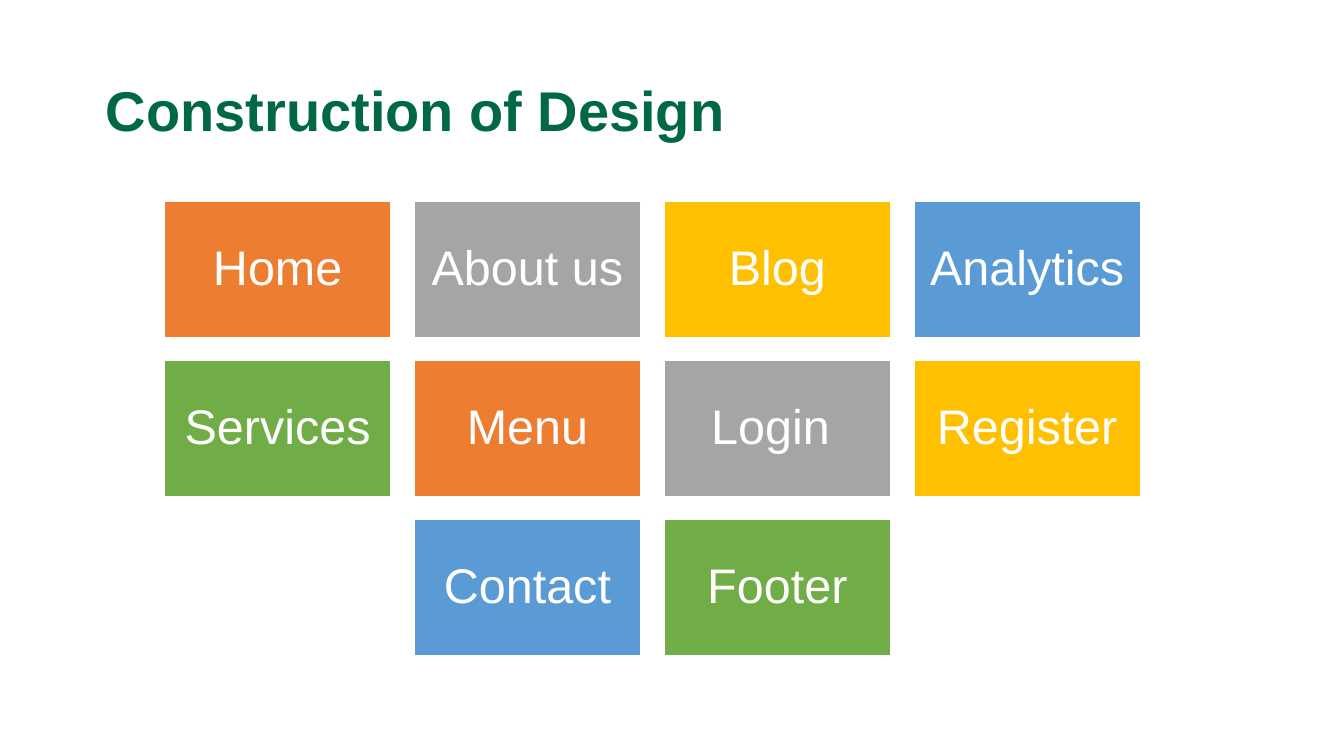
from itertools import cycle

from pptx import Presentation
from pptx.dml.color import RGBColor
from pptx.enum.shapes import MSO_SHAPE
from pptx.enum.text import MSO_ANCHOR, PP_ALIGN
from pptx.util import Inches, Pt

RECTANGLE = MSO_SHAPE.RECTANGLE
MIDDLE = MSO_ANCHOR.MIDDLE
LEFT = PP_ALIGN.LEFT
CENTER = PP_ALIGN.CENTER

FONT = "Arial"
WHITE = "FFFFFF"
GREEN = "006747"
TILE_COLORS = ["ED7D31", "A5A5A5", "FFC000", "5B9BD5", "70AD47"]
TILE_ROWS = [
    ["Home", "About us", "Blog", "Analytics"],
    ["Services", "Menu", "Login ", "Register"],
    ["Contact", "Footer"],
]
SLIDE_WIDTH = 10
SLIDE_HEIGHT = SLIDE_WIDTH * 9 / 16
TILE_WIDTH = 1.69
TILE_HEIGHT = TILE_WIDTH * 0.6
TILE_GAP = TILE_WIDTH * 0.1
TILE_MARGIN = 0.11


def color(value):
    return RGBColor.from_string(value)


def write_text(shape, text, size, text_color, alignment, bold=False):
    frame = shape.text_frame
    frame.word_wrap = True
    frame.vertical_anchor = MIDDLE
    paragraph = frame.paragraphs[0]
    paragraph.text = text
    paragraph.alignment = alignment
    paragraph.line_spacing = 0.9
    paragraph.font.name = FONT
    paragraph.font.size = Pt(size)
    paragraph.font.bold = bold
    paragraph.font.color.rgb = color(text_color)


def add_title(slide, text, left, top, width, height):
    box = slide.shapes.add_textbox(Inches(left), Inches(top), Inches(width), Inches(height))
    write_text(box, text, 30, GREEN, LEFT, bold=True)


def add_tile(slide, text, fill, left, top):
    tile = slide.shapes.add_shape(
        RECTANGLE, Inches(left), Inches(top), Inches(TILE_WIDTH), Inches(TILE_HEIGHT)
    )
    tile.shadow.inherit = False
    tile.fill.solid()
    tile.fill.fore_color.rgb = color(fill)
    tile.line.color.rgb = color(WHITE)
    tile.line.width = Pt(1)
    frame = tile.text_frame
    frame.margin_left = frame.margin_right = Inches(TILE_MARGIN)
    frame.margin_top = frame.margin_bottom = Inches(TILE_MARGIN)
    write_text(tile, text, 26, WHITE, CENTER)


def add_tile_grid(slide, rows, left, top, width):
    fills = cycle(TILE_COLORS)
    for row_index, labels in enumerate(rows):
        row_width = len(labels) * (TILE_WIDTH + TILE_GAP) - TILE_GAP
        row_left = left + (width - row_width) / 2
        row_top = top + row_index * (TILE_HEIGHT + TILE_GAP)
        for column, label in enumerate(labels):
            tile_left = row_left + column * (TILE_WIDTH + TILE_GAP)
            add_tile(slide, label, next(fills), tile_left, row_top)


def main():
    presentation = Presentation()
    presentation.slide_width = Inches(SLIDE_WIDTH)
    presentation.slide_height = Inches(SLIDE_HEIGHT)
    slide = presentation.slides.add_slide(presentation.slide_layouts[6])
    add_title(slide, "Construction of Design", 0.69, 0.3, 8.62, 1.09)
    add_tile_grid(slide, TILE_ROWS, 1.22, 1.5, 7.27)
    presentation.save("out.pptx")


if __name__ == "__main__":
    main()
